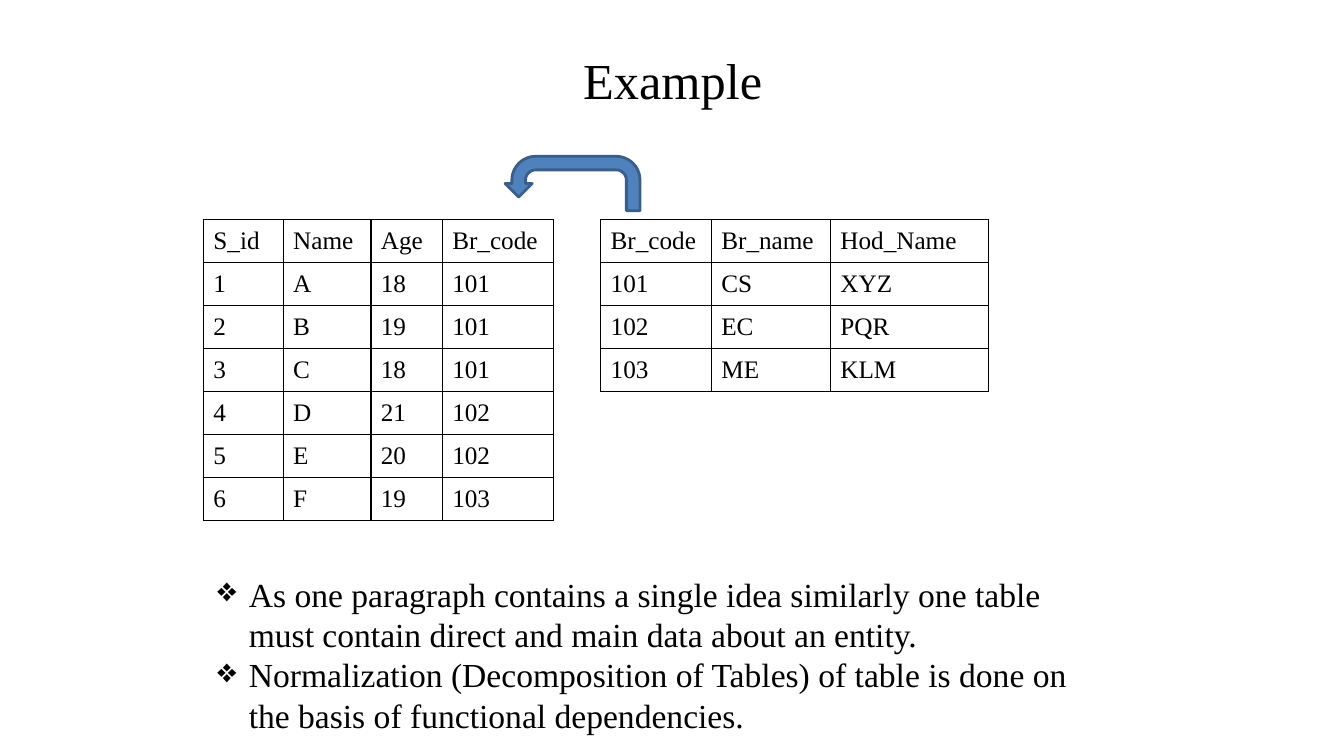
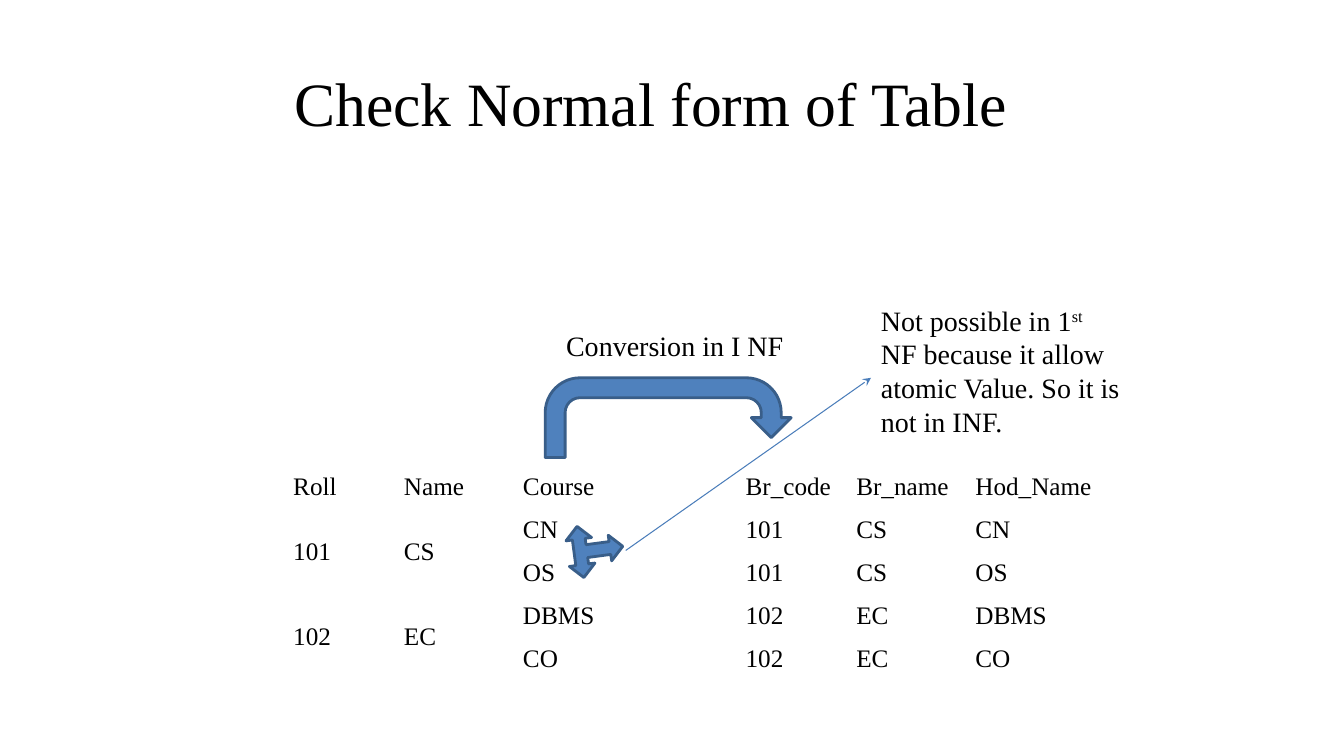
import dataclasses
import typing

import lxml.etree
import pptx
import pptx.dml.color
import pptx.enum.shapes
import pptx.enum.text
import pptx.oxml
import pptx.oxml.ns
import pptx.util

Cm = pptx.util.Cm
Pt = pptx.util.Pt
Shapes = pptx.enum.shapes.MSO_SHAPE
Align = pptx.enum.text.PP_ALIGN
qn = pptx.oxml.ns.qn

BLACK = pptx.dml.color.RGBColor(0x00, 0x00, 0x00)
ARROW_FILL = pptx.dml.color.RGBColor(0x4F, 0x81, 0xBD)
ARROW_EDGE = pptx.dml.color.RGBColor(0x39, 0x5E, 0x89)
POINTER_BLUE = pptx.dml.color.RGBColor(0x4A, 0x7D, 0xBA)
FONT = "Times New Roman"
ROW_HEIGHT = 1.08
BRANCH_COLUMNS = (2.79, 3.0, 3.99)
BULLET_INDENT = Cm(0.79)
FRAME_FORMAT = {
    "word_wrap": True,
    "auto_size": pptx.enum.text.MSO_AUTO_SIZE.SHAPE_TO_FIT_TEXT,
}
CELL_FORMAT = {
    "vertical_anchor": pptx.enum.text.MSO_ANCHOR.MIDDLE,
    "margin_left": Cm(0.25),
    "margin_right": Cm(0.25),
    "margin_top": Cm(0.16),
    "margin_bottom": Cm(0.16),
}
GRID_FORMAT = {"first_row": False, "horz_banding": False}


class Box(typing.NamedTuple):
    left: float
    top: float
    width: float
    height: float

    def lengths(self) -> list[int]:
        return [Cm(value) for value in self]


class Piece(typing.NamedTuple):
    text: str
    superscript: bool = False


@dataclasses.dataclass(frozen=True)
class TextBlock:
    box: Box
    paragraphs: tuple[tuple[Piece, ...], ...]
    size: int
    align: typing.Any = Align.LEFT
    bulleted: bool = False


@dataclasses.dataclass(frozen=True)
class Relation:
    left: float
    top: float
    columns: tuple[float, ...]
    rows: tuple[tuple[str, ...], ...]
    ruled: bool = False
    merged: tuple[tuple[int, int], ...] = ()


@dataclasses.dataclass(frozen=True)
class BlockArrow:
    kind: typing.Any
    box: Box
    rotation: float = 0
    mirrored: bool = False


def apply_format(target: typing.Any, values: dict[str, typing.Any]) -> None:
    for name, value in values.items():
        setattr(target, name, value)


def write_piece(paragraph: typing.Any, piece: Piece, size: int) -> None:
    run = paragraph.add_run()
    run.text = piece.text
    apply_format(run.font, {"name": FONT, "size": Pt(size), "bold": False})
    run.font.color.rgb = BLACK
    if piece.superscript:
        run.font._element.set("baseline", "30000")


def add_bullet(paragraph: typing.Any) -> None:
    properties = paragraph._p.get_or_add_pPr()
    properties.set("marL", str(BULLET_INDENT))
    properties.set("indent", str(-BULLET_INDENT))
    colour = lxml.etree.SubElement(properties, qn("a:buClr"))
    lxml.etree.SubElement(colour, qn("a:srgbClr"), val=str(BLACK))
    lxml.etree.SubElement(properties, qn("a:buChar"), char="❖")


def draw_text(slide: typing.Any, block: TextBlock) -> None:
    frame = slide.shapes.add_textbox(*block.box.lengths()).text_frame
    apply_format(frame, FRAME_FORMAT)
    for index, pieces in enumerate(block.paragraphs):
        paragraph = frame.add_paragraph() if index else frame.paragraphs[0]
        paragraph.alignment = block.align
        if block.bulleted:
            add_bullet(paragraph)
        for piece in pieces:
            write_piece(paragraph, piece, block.size)


def draw_title(slide: typing.Any, text: str, box: Box, size: int) -> None:
    draw_text(slide, TextBlock(box, ((Piece(text),),), size, Align.CENTER))


def rule_cell(cell: typing.Any) -> None:
    properties = cell._tc.get_or_add_tcPr()
    for position, side in enumerate(("a:lnL", "a:lnR", "a:lnT", "a:lnB")):
        edge = lxml.etree.Element(qn(side), w=str(Pt(1)))
        fill = lxml.etree.SubElement(edge, qn("a:solidFill"))
        lxml.etree.SubElement(fill, qn("a:srgbClr"), val=str(BLACK))
        properties.insert(position, edge)


def draw_relation(slide: typing.Any, relation: Relation) -> None:
    box = Box(relation.left, relation.top, sum(relation.columns), ROW_HEIGHT * len(relation.rows))
    grid = slide.shapes.add_table(
        len(relation.rows), len(relation.columns), *box.lengths()
    ).table
    apply_format(grid, GRID_FORMAT)
    for column, width in zip(grid.columns, relation.columns):
        column.width = Cm(width)
    for row_index, values in enumerate(relation.rows):
        grid.rows[row_index].height = Cm(ROW_HEIGHT)
        for column_index, value in enumerate(values):
            cell = grid.cell(row_index, column_index)
            apply_format(cell, CELL_FORMAT)
            cell.fill.background()
            if value:
                write_piece(cell.text_frame.paragraphs[0], Piece(value), 18)
            if relation.ruled:
                rule_cell(cell)
    for row_index, column_index in relation.merged:
        grid.cell(row_index, column_index).merge(grid.cell(row_index + 1, column_index))


def draw_block_arrow(slide: typing.Any, arrow: BlockArrow) -> None:
    shape = slide.shapes.add_shape(arrow.kind, *arrow.box.lengths())
    shape.shadow.inherit = False
    shape.rotation = arrow.rotation
    shape.fill.solid()
    shape.fill.fore_color.rgb = ARROW_FILL
    shape.line.color.rgb = ARROW_EDGE
    shape.line.width = Pt(2)
    if arrow.mirrored:
        shape._element.spPr.xfrm.set("flipH", "1")


def draw_pointer(slide: typing.Any, start: tuple[float, float], end: tuple[float, float]) -> None:
    pointer = slide.shapes.add_connector(
        pptx.enum.shapes.MSO_CONNECTOR.STRAIGHT, *(Cm(value) for value in start + end)
    )
    pointer.line.color.rgb = POINTER_BLUE
    pointer.line.width = Pt(0.75)
    lxml.etree.SubElement(pointer.line._get_or_add_ln(), qn("a:tailEnd"), type="stealth")
    lxml.etree.SubElement(pointer._element.spPr, qn("a:effectLst"))


STUDENTS = Relation(
    5.13, 5.54, (2.01, 2.21, 1.8, 2.79),
    (
        ("S_id", "Name", "Age", "Br_code"),
        ("1", "A", "18", "101"),
        ("2", "B", "19", "101"),
        ("3", "C", "18", "101"),
        ("4", "D", "21", "102"),
        ("5", "E", "20", "102"),
        ("6", "F", "19", "103"),
    ),
    ruled=True,
)
BRANCHES = Relation(
    15.14, 5.54, BRANCH_COLUMNS,
    (
        ("Br_code", "Br_name", "Hod_Name"),
        ("101", "CS", "XYZ"),
        ("102", "EC", "PQR"),
        ("103", "ME", "KLM"),
    ),
    ruled=True,
)
COURSES = Relation(
    7.14, 11.73, BRANCH_COLUMNS,
    (
        ("Roll", "Name", "Course"),
        ("101", "CS", "CN"),
        ("", "", "OS"),
        ("102", "EC", "DBMS"),
        ("", "", "CO"),
    ),
    merged=((1, 0), (1, 1), (3, 0), (3, 1)),
)
ATOMIC_COURSES = Relation(
    18.54, 11.73, BRANCH_COLUMNS,
    (
        ("Br_code", "Br_name", "Hod_Name"),
        ("101", "CS", "CN"),
        ("101", "CS", "OS"),
        ("102", "EC", "DBMS"),
        ("102", "EC", "CO"),
    ),
)
NORMALIZATION_NOTES = TextBlock(
    Box(5.23, 14.33, 23.09, 4.37),
    (
        (Piece("As one paragraph contains a single idea similarly one table must contain "
               "direct and main data about an entity."),),
        (Piece("Normalization (Decomposition of Tables) of table is done on the basis of "
               "functional dependencies."),),
    ),
    24,
    bulleted=True,
)
ATOMIC_NOTE = TextBlock(
    Box(21.95, 7.52, 6.6, 3.68),
    ((
        Piece("Not possible in 1"),
        Piece("st", superscript=True),
        Piece(" NF because it allow atomic Value. So it is not in INF."),
    ),),
    20,
)
CONVERSION_LABEL = TextBlock(
    Box(13.74, 8.15, 6.53, 1.12), ((Piece("Conversion in I NF"),),), 20, Align.CENTER
)
REFERENCE_ARROW = BlockArrow(Shapes.U_TURN_ARROW, Box(12.73, 3.94, 3.4, 1.37), mirrored=True)
CONVERSION_ARROW = BlockArrow(Shapes.U_TURN_ARROW, Box(13.74, 9.52, 6.2, 2.01))
COURSE_ARROW = BlockArrow(Shapes.LEFT_RIGHT_UP_ARROW, Box(14.35, 13.16, 1.3, 1.4), rotation=82.4)


def build_example(slide: typing.Any) -> None:
    draw_title(slide, "Example", Box(6.25, 1.12, 21.41, 1.8), 36)
    for relation in (STUDENTS, BRANCHES):
        draw_relation(slide, relation)
    draw_block_arrow(slide, REFERENCE_ARROW)
    draw_text(slide, NORMALIZATION_NOTES)


def build_normal_form_check(slide: typing.Any) -> None:
    draw_title(slide, "Check Normal form of Table", Box(6.32, 1.52, 20.19, 2.13), 44)
    for relation in (COURSES, ATOMIC_COURSES):
        draw_relation(slide, relation)
    for arrow in (CONVERSION_ARROW, COURSE_ARROW):
        draw_block_arrow(slide, arrow)
    draw_pointer(slide, (15.77, 13.87), (21.95, 9.52))
    for block in (ATOMIC_NOTE, CONVERSION_LABEL):
        draw_text(slide, block)


def main() -> None:
    deck = pptx.Presentation()
    apply_format(deck, {"slide_width": Cm(33.87), "slide_height": Cm(19.05)})
    for build in (build_example, build_normal_form_check):
        build(deck.slides.add_slide(deck.slide_layouts[6]))
    deck.save("out.pptx")


if __name__ == "__main__":
    main()
